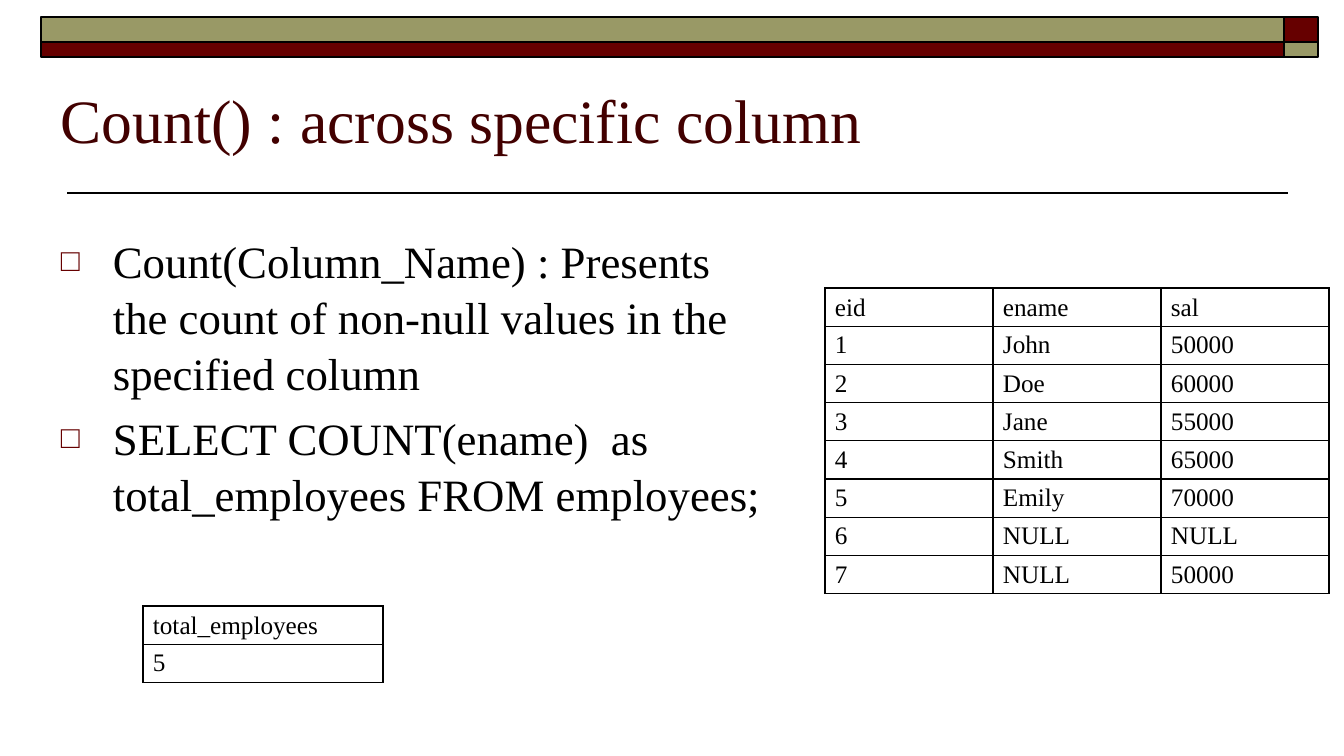
"""Build a slide on COUNT over a specific column."""
from lxml import etree
from pptx import Presentation
from pptx.dml.color import RGBColor
from pptx.enum.shapes import MSO_CONNECTOR, MSO_SHAPE
from pptx.enum.text import MSO_ANCHOR
from pptx.oxml.ns import qn
from pptx.util import Pt

PX = 914400 / 100.8
RECT = MSO_SHAPE.RECTANGLE
LINE = MSO_CONNECTOR.STRAIGHT
TOP, MID, LOW = MSO_ANCHOR.TOP, MSO_ANCHOR.MIDDLE, MSO_ANCHOR.BOTTOM
BLACK = RGBColor(0x00, 0x00, 0x00)
MAROON = RGBColor(0x66, 0x00, 0x00)
OLIVE = RGBColor(0x99, 0x99, 0x66)
WINE = RGBColor(0x42, 0x00, 0x00)
FACE = "Times New Roman"
ROW = 38


def px(*sizes):
    return [round(size * PX) for size in sizes]


def write(para, text, size, color):
    run = para.add_run()
    run.text = text
    run.font.name = FACE
    run.font.size = Pt(size)
    run.font.bold = False
    run.font.color.rgb = color


deck = Presentation()
deck.slide_width, deck.slide_height = px(1344, 756)
slide = deck.slides.add_slide(deck.slide_layouts[6])
shapes = slide.shapes

rule = shapes.add_connector(LINE, *px(1288, 193, 67, 193))
rule.line.color.rgb = BLACK
rule.line.width = Pt(1)
etree.SubElement(rule._element.spPr, qn("a:effectLst"))

bands = [
    (1284, 17, 34, 25, MAROON),
    (41, 17, 1243, 25, OLIVE),
    (41, 42, 1243, 15, MAROON),
    (1284, 42, 34, 15, OLIVE),
]
for *box, color in bands:
    band = shapes.add_shape(RECT, *px(*box))
    band.shadow.inherit = False
    band.fill.solid()
    band.fill.fore_color.rgb = color
    band.line.color.rgb = BLACK
    band.line.width = Pt(1)

title = shapes.add_textbox(*px(51, 35, 1210, 126)).text_frame
title.word_wrap = True
title.vertical_anchor = LOW
write(title.paragraphs[0], "Count() : across specific column", 44, WINE)

body = shapes.add_textbox(*px(51, 227, 729, 461)).text_frame
body.word_wrap = True
body.vertical_anchor = TOP
points = [
    "Count(Column_Name) : Presents the count of non-null values in the specified column",
    "SELECT COUNT(ename)  as total_employees FROM employees;",
]
indent = px(52)[0]
for i, point in enumerate(points):
    para = body.add_paragraph() if i else body.paragraphs[0]
    para.space_before = Pt(6.4)
    para.line_spacing = 1.04
    props = para._p.get_or_add_pPr()
    props.set("marL", str(indent))
    props.set("indent", str(-indent))
    tint = etree.SubElement(props, qn("a:buClr"))
    etree.SubElement(tint, qn("a:srgbClr"), val=str(MAROON))
    etree.SubElement(props, qn("a:buSzPct"), val="70000")
    etree.SubElement(props, qn("a:buFont"), typeface=FACE)
    etree.SubElement(props, qn("a:buChar"), char="□")
    write(para, point, 32, BLACK)

total = [["total_employees"], ["5"]]
staff = [
    ["eid", "ename", "sal"],
    ["1", "John", "50000"],
    ["2", "Doe", "60000"],
    ["3", "Jane", "55000"],
    ["4", "Smith", "65000"],
    ["5", "Emily", "70000"],
    ["6", "NULL", "NULL"],
    ["7", "NULL", "50000"],
]
for left, top, wide, data in [(143, 606, 240, total), (825, 288, 168, staff)]:
    rows, cols = len(data), len(data[0])
    box = px(left, top, wide * cols, ROW * rows)
    table = shapes.add_table(rows, cols, *box).table
    table.first_row = False
    table.horz_banding = False
    for col in table.columns:
        col.width = px(wide)[0]
    for r, line in enumerate(data):
        table.rows[r].height = px(ROW)[0]
        for c, text in enumerate(line):
            cell = table.cell(r, c)
            cell.margin_left, cell.margin_top, cell.margin_bottom = px(10, 4, 4)
            cell.vertical_anchor = MID if r else LOW
            write(cell.text_frame.paragraphs[0], text, 18, BLACK)
            props = cell._tc.get_or_add_tcPr()
            for side in ("a:lnL", "a:lnR", "a:lnT", "a:lnB"):
                edge = etree.SubElement(props, qn(side), w=str(Pt(1)))
                fill = etree.SubElement(edge, qn("a:solidFill"))
                etree.SubElement(fill, qn("a:srgbClr"), val=str(BLACK))
            cell.fill.background()

deck.save("out.pptx")
